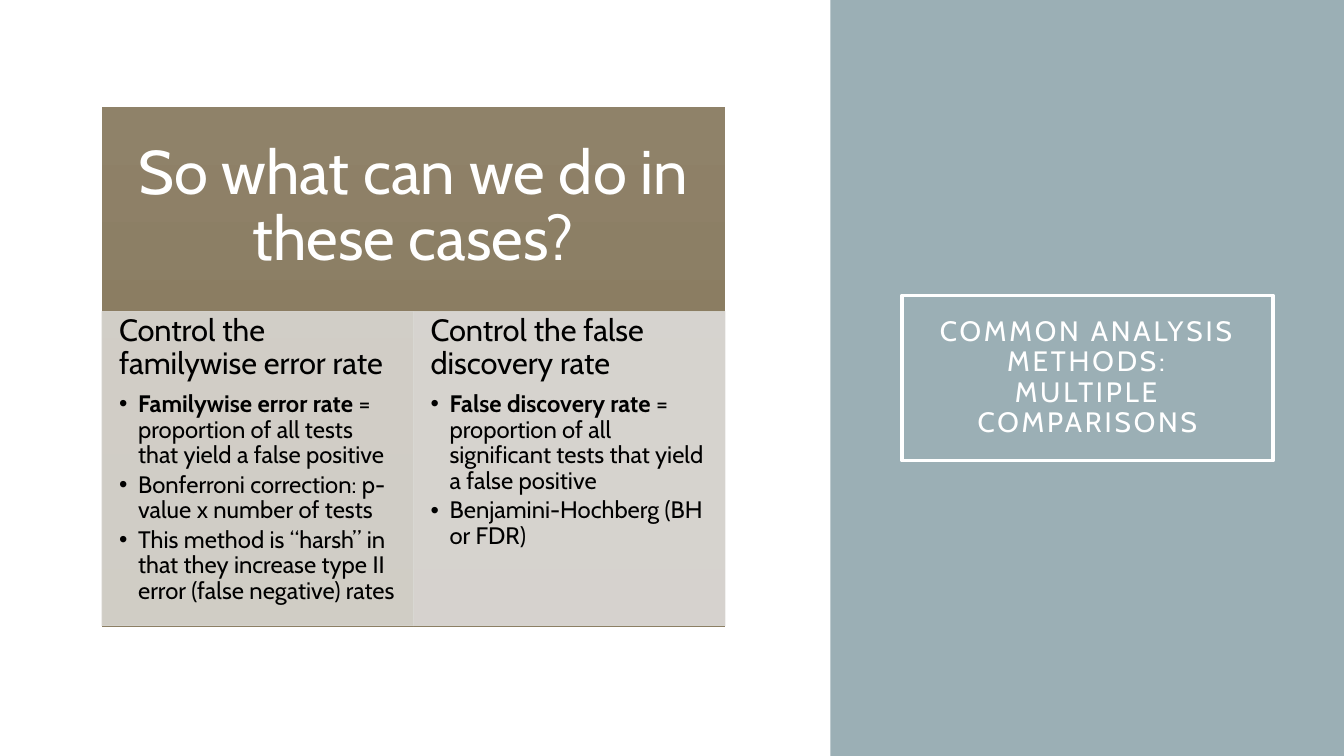
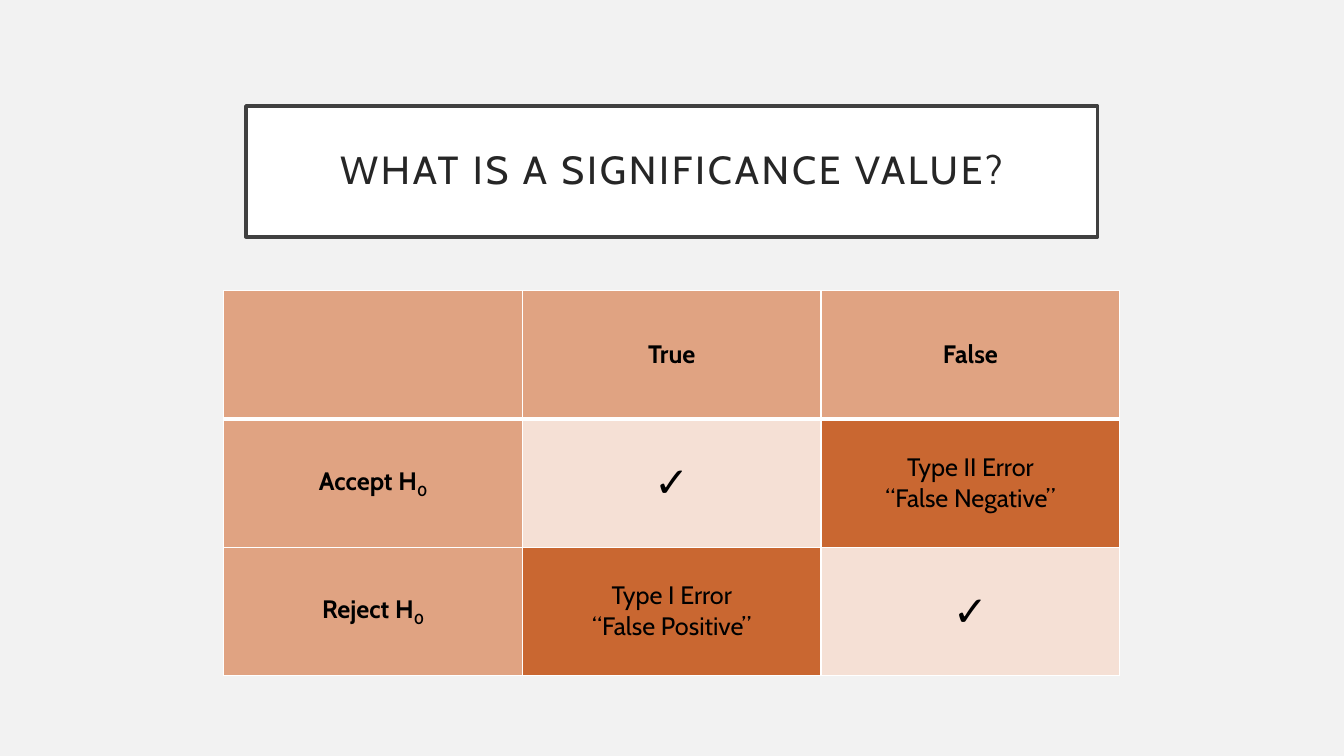
import copy
from dataclasses import dataclass

import pptx
import pptx.dml.color
import pptx.enum.shapes
import pptx.enum.text
import pptx.oxml.ns
import pptx.oxml.xmlchemy
import pptx.util
from pptx.util import Cm, Pt

ALIGN = pptx.enum.text.PP_ALIGN
ANCHOR = pptx.enum.text.MSO_ANCHOR
qn = pptx.oxml.ns.qn
new_element = pptx.oxml.xmlchemy.OxmlElement


@dataclass(frozen=True)
class Theme:
    font: str = "Cabin"
    white: str = "FFFFFF"
    black: str = "000000"
    pale_gray: str = "F2F2F2"
    title_text: str = "262626"
    title_frame: str = "404040"
    side_blue: str = "9BAFB5"
    band_top: str = "8F8269"
    band_bottom: str = "847557"
    column_fills: tuple = ("D9D7D2", "DFDDDB")
    column_line: str = "D9D7D2"
    header_cell: str = "E0A382"
    correct_cell: str = "F5E0D5"
    error_cell: str = "C96731"
    side_title_size: int = 20
    title_size: int = 28
    question_size: int = 44
    heading_size: int = 22
    bullet_size: int = 17
    cell_size: int = 18
    tick_size: int = 30
    line_spacing: float = 0.9


THEME = Theme()

COLUMNS = [
    ("Control the familywise error rate", [
        ("Familywise error rate ", "= proportion of all tests that yield a false positive"),
        ("", "Bonferroni correction: p-value x number of tests"),
        ("", "This method is “harsh” in that they increase type II error (false negative) rates"),
    ]),
    ("Control the false discovery rate", [
        ("False discovery rate ", "= proportion of all significant tests that yield a false positive"),
        ("", "Benjamini-Hochberg (BH or FDR)"),
    ]),
]

TICK = "✓"
OUTCOMES = [
    ["", "True", "False"],
    ["Accept H", TICK, "Type II Error\n“False Negative”"],
    ["Reject H", "Type I Error\n“False Positive”", TICK],
]


def rgb(color):
    return pptx.dml.color.RGBColor.from_string(color)


def format_span(span, size, color, bold=False):
    span.font.name = THEME.font
    span.font.size = Pt(size)
    span.font.bold = bold
    span.font.color.rgb = rgb(color)


def add_span(para, text, size, color, bold=False):
    span = para.add_run()
    span.text = text
    format_span(span, size, color, bold)
    return span


def place(box, left, top, width, height):
    box.left, box.top, box.width, box.height = Cm(left), Cm(top), Cm(width), Cm(height)


def set_frame(frame, anchor, side, vertical):
    frame.word_wrap = True
    frame.auto_size = pptx.enum.text.MSO_AUTO_SIZE.NONE
    frame.vertical_anchor = anchor
    frame.margin_left = frame.margin_right = Cm(side)
    frame.margin_top = frame.margin_bottom = Cm(vertical)


def space_para(para, align=ALIGN.LEFT, after=0):
    para.alignment = align
    para.line_spacing = THEME.line_spacing
    para.space_before = Pt(0)
    para.space_after = Pt(after)


def set_opacity(box, percent):
    """Make the solid fill and line of a box see-through."""
    for color in box.element.spPr.iter(qn("a:srgbClr")):
        alpha = new_element("a:alpha")
        alpha.set("val", str(percent * 1000))
        color.append(alpha)


def add_page(deck, layout, background):
    page = deck.slides.add_slide(deck.slide_layouts.get_by_name(layout))
    page.background.fill.solid()
    page.background.fill.fore_color.rgb = rgb(background)
    return page


def add_panel(page, left, top, width, height):
    """Add a plain rectangle behind the placeholders."""
    panel = page.shapes.add_shape(
        pptx.enum.shapes.MSO_SHAPE.RECTANGLE, Cm(left), Cm(top), Cm(width), Cm(height))
    panel.shadow.inherit = False
    panel.line.fill.background()
    page.shapes.title.element.addprevious(panel.element)
    return panel


def fill_box(box, fill, line, line_width):
    box.fill.solid()
    box.fill.fore_color.rgb = rgb(fill)
    box.line.color.rgb = rgb(line)
    box.line.width = Pt(line_width)


def set_title(page, text, area, size, color, fill, line):
    title = page.shapes.title
    place(title, *area)
    fill_box(title, fill, line, 2.5)
    set_frame(title.text_frame, ANCHOR.MIDDLE, 0.51, 0.51)
    title.text_frame.text = text
    para = title.text_frame.paragraphs[0]
    space_para(para, ALIGN.CENTER)
    for span in para.runs:
        format_span(span, size, color)
        span.font._element.set("spc", "200")
    for line_break in para._p.findall(qn("a:br")):
        line_break.insert(0, copy.deepcopy(para.runs[0].font._element))


def set_bullet(para, indent, char=None):
    """Set a hanging indent, with a bullet if a character is given."""
    properties = para._p.get_or_add_pPr()
    properties.set("marL", str(Cm(indent)))
    properties.set("indent", str(-Cm(indent)))
    bullet = new_element("a:buChar" if char else "a:buNone")
    if char:
        bullet.set("char", char)
    properties.append(bullet)


def fill_column(body, heading, bullets, area, fill):
    place(body, *area)
    fill_box(body, fill, THEME.column_line, 0.5)
    set_opacity(body, 90)
    frame = body.text_frame
    set_frame(frame, ANCHOR.TOP, 0.43, 0.08)
    frame.text = heading
    para = frame.paragraphs[0]
    space_para(para, after=7.7)
    set_bullet(para, 0)
    format_span(para.runs[0], THEME.heading_size, THEME.black)
    for term, explanation in bullets:
        para = frame.add_paragraph()
        para.level = 1
        space_para(para, after=2.5)
        set_bullet(para, 0.48, "•")
        if term:
            add_span(para, term, THEME.bullet_size, THEME.black, bold=True)
        add_span(para, explanation, THEME.bullet_size, THEME.black)


def add_question_band(page, text, area):
    band = add_panel(page, *area)
    band.fill.gradient()
    band.fill.gradient_angle = 270
    for stop, color in zip(band.fill.gradient_stops, (THEME.band_top, THEME.band_bottom)):
        stop.color.rgb = rgb(color)
    set_frame(band.text_frame, ANCHOR.TOP, 0.86, 0.86)
    band.text_frame.text = text
    para = band.text_frame.paragraphs[0]
    space_para(para, ALIGN.CENTER)
    format_span(para.runs[0], THEME.question_size, THEME.white)


def set_borders(cell, top, bottom):
    properties = cell._tc.get_or_add_tcPr()
    widths = {"a:lnL": 1, "a:lnR": 1, "a:lnT": top, "a:lnB": bottom}
    for position, (tag, width) in enumerate(widths.items()):
        border = new_element(tag)
        border.set("w", str(Pt(width)))
        fill = new_element("a:solidFill")
        color = new_element("a:srgbClr")
        color.set("val", THEME.white)
        fill.append(color)
        border.append(fill)
        properties.insert(position, border)


def fill_cell(cell, text, row, column):
    is_header = row == 0 or column == 0
    is_tick = text == TICK
    if is_header:
        color = THEME.header_cell
    else:
        color = THEME.correct_cell if is_tick else THEME.error_cell
    cell.fill.solid()
    cell.fill.fore_color.rgb = rgb(color)
    set_borders(cell, 3 if row == 1 else 1, 3 if row == 0 else 1)
    cell.vertical_anchor = ANCHOR.MIDDLE
    cell.text_frame.text = text
    size = THEME.tick_size if is_tick else THEME.cell_size
    for para in cell.text_frame.paragraphs:
        para.alignment = ALIGN.CENTER
        for span in para.runs:
            format_span(span, size, THEME.black, is_header or is_tick)
    if row > 0 and column == 0:
        subscript = add_span(cell.text_frame.paragraphs[0], "0", size, THEME.black, bold=True)
        subscript.font._element.set("baseline", "-25000")


def add_outcome_table(page, rows, left, top, width, height):
    table = page.shapes.add_table(
        len(rows), len(rows[0]), Cm(left), Cm(top), Cm(width), Cm(height)).table
    for row, texts in enumerate(rows):
        for column, text in enumerate(texts):
            fill_cell(table.cell(row, column), text, row, column)


def build_comparisons_page(deck):
    page = add_page(deck, "Two Content", THEME.white)
    side = add_panel(page, 20.93, 0, 12.94, 19.05)
    side.fill.solid()
    side.fill.fore_color.rgb = rgb(THEME.side_blue)
    set_title(page, "COMMON ANALYSIS METHODS:\vMULTIPLE COMPARISONS",
              (22.73, 7.44, 9.35, 4.17), THEME.side_title_size, THEME.white,
              THEME.side_blue, THEME.white)
    left, width = 2.57, 15.7
    add_question_band(page, "So what can we do in these cases?", (left, 2.69, width, 13.11))
    column_width = width / len(COLUMNS)
    for index, (heading, bullets) in enumerate(COLUMNS):
        area = (left + index * column_width, 7.85, column_width, 7.92)
        fill_column(page.placeholders[index + 1], heading, bullets, area,
                    THEME.column_fills[index])


def build_significance_page(deck):
    page = add_page(deck, "Title Only", THEME.pale_gray)
    set_title(page, "WHAT IS A SIGNIFICANCE VALUE?", (6.2, 2.67, 21.46, 3.3),
              THEME.title_size, THEME.title_text, THEME.white, THEME.title_frame)
    add_outcome_table(page, OUTCOMES, 5.64, 7.32, 22.58, 9.7)


def main():
    deck = pptx.Presentation()
    deck.slide_width, deck.slide_height = Cm(33.87), Cm(19.05)
    build_comparisons_page(deck)
    build_significance_page(deck)
    deck.save("out.pptx")


if __name__ == "__main__":
    main()
